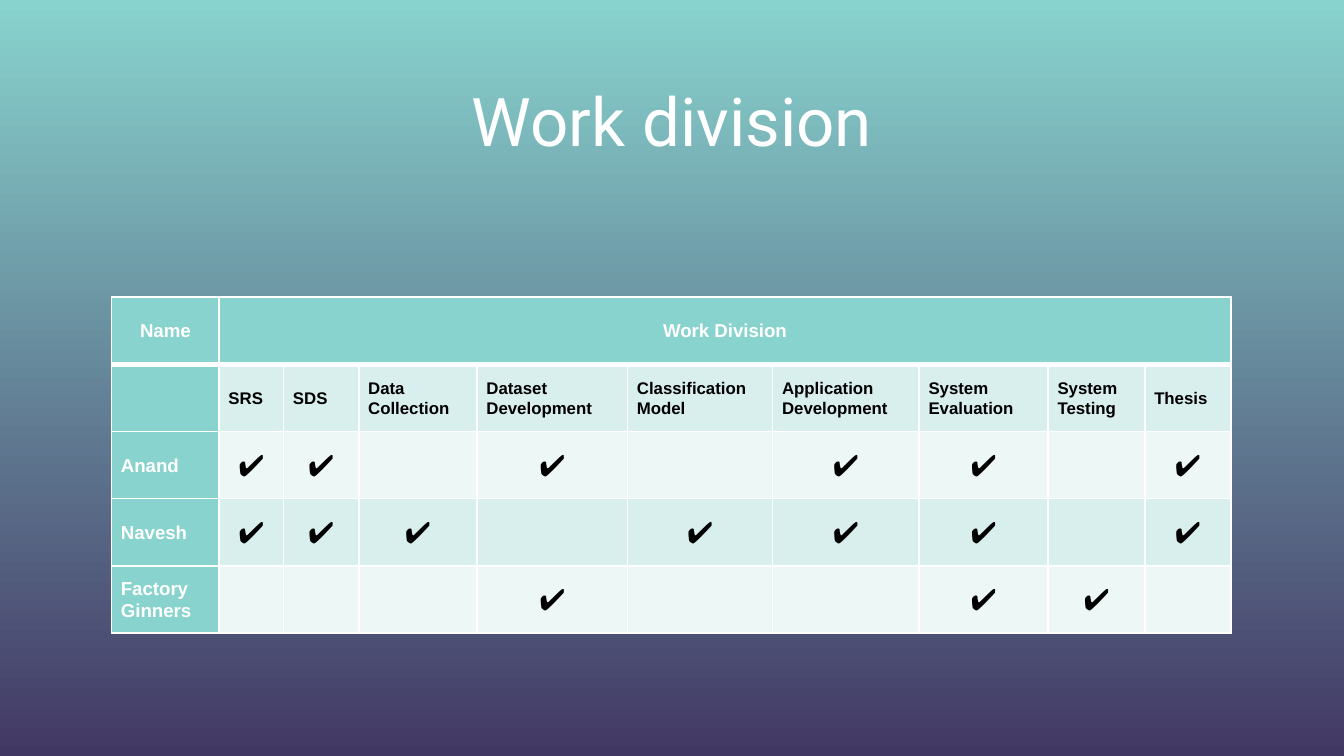
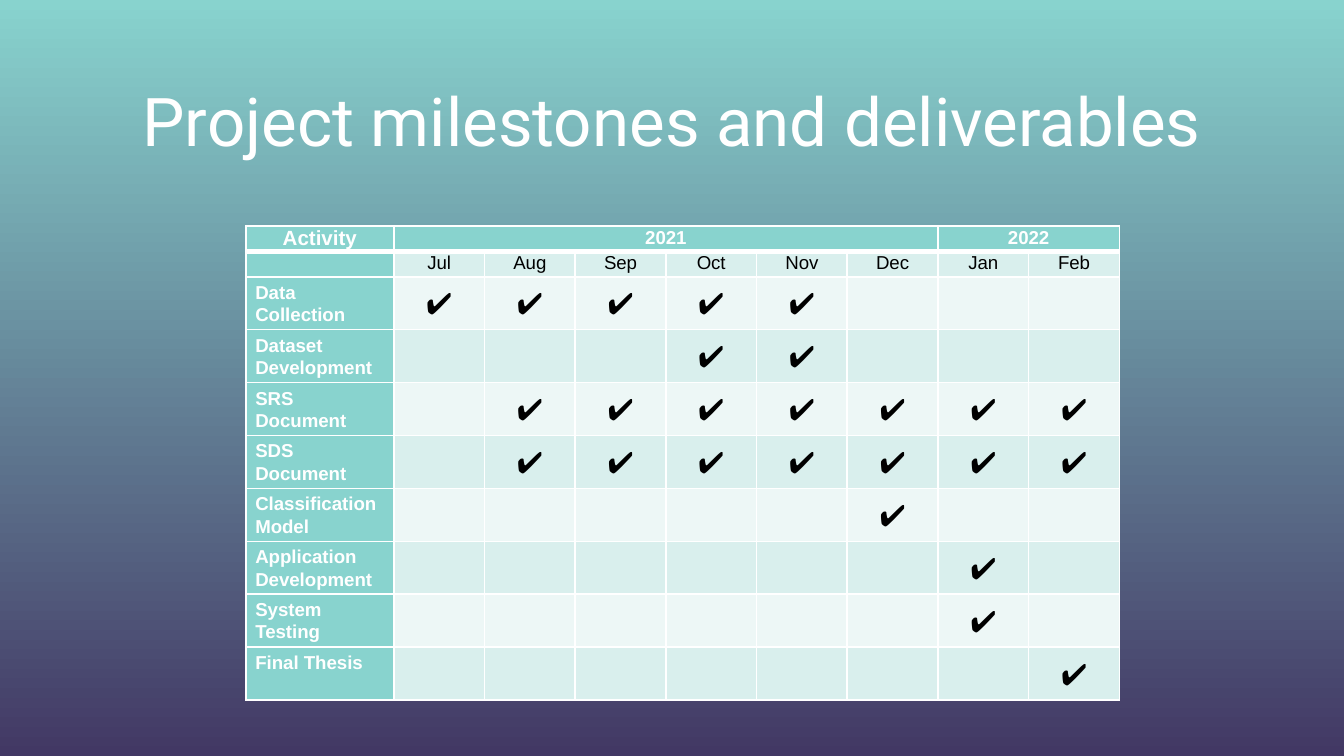
"""Build the work division and project milestones slides."""
import dataclasses

import lxml.etree
import pptx
import pptx.dml.color
import pptx.enum.dml
import pptx.enum.text
import pptx.oxml.ns
import pptx.presentation
import pptx.slide
import pptx.table
import pptx.util

RGBColor = pptx.dml.color.RGBColor
Inches = pptx.util.Inches
Pt = pptx.util.Pt
Align = pptx.enum.text.PP_ALIGN
Anchor = pptx.enum.text.MSO_ANCHOR

SLIDE_WIDTH = Inches(10)
SLIDE_HEIGHT = SLIDE_WIDTH * 9 // 16
TEAL = RGBColor(0x88, 0xD3, 0xCE)
PURPLE = RGBColor(0x42, 0x38, 0x64)
DARK_BAND = RGBColor(0xD9, 0xEF, 0xED)
LIGHT_BAND = RGBColor(0xED, 0xF7, 0xF6)
WHITE = RGBColor(0xFF, 0xFF, 0xFF)
BLACK = RGBColor(0x00, 0x00, 0x00)
TITLE_FONT = "Roboto"
TABLE_FONT = "Arial"
CHECK = "✔"
THIN = Pt(1)
THICK = Pt(3)


@dataclasses.dataclass(frozen=True)
class TextStyle:
    size: int
    color: RGBColor
    bold: bool = False
    align: Align = Align.CENTER
    anchor: Anchor = Anchor.MIDDLE
    top: float = 0


@dataclasses.dataclass(frozen=True)
class HeaderGroup:
    text: str
    span: int
    style: TextStyle


@dataclasses.dataclass(frozen=True)
class CheckRow:
    label: str
    checked: str
    style: TextStyle = TextStyle(10, WHITE, True, Align.LEFT)


@dataclasses.dataclass(frozen=True)
class CheckTable:
    title: str
    left: float
    top: float
    column_widths: list[float]
    row_heights: list[float]
    groups: list[HeaderGroup]
    columns: list[str]
    column_style: TextStyle
    rows: list[CheckRow]


CHECK_STYLE = TextStyle(16, BLACK)
GROUP_STYLE = TextStyle(10, WHITE, True)
TOP_GROUP_STYLE = dataclasses.replace(GROUP_STYLE, anchor=Anchor.TOP)

WORK_DIVISION = CheckTable(
    title="Work division",
    left=0.83,
    top=2.21,
    column_widths=[0.8, 0.48, 0.56, 0.88, 1.12, 1.08, 1.09, 0.96, 0.72, 0.64],
    row_heights=[0.5] * 5,
    groups=[
        HeaderGroup("Name", 1, GROUP_STYLE),
        HeaderGroup("Work Division", 9, GROUP_STYLE),
    ],
    columns=[
        "SRS", "SDS", "Data Collection", "Dataset Development",
        "Classification Model", "Application Development",
        "System Evaluation", "System Testing", "Thesis",
    ],
    column_style=TextStyle(9, BLACK, True, Align.LEFT),
    rows=[
        CheckRow("Anand", "xx-x-xx-x"),
        CheckRow("Navesh", "xxx-xxx-x"),
        CheckRow("Factory Ginners", "---x--xx-"),
    ],
)

MILESTONES = CheckTable(
    title="Project milestones and deliverables",
    left=1.83,
    top=1.68,
    column_widths=[1.1] + [5.4 / 8] * 8,
    row_heights=[0.19] * 2 + [3.15 / 8] * 8,
    groups=[
        HeaderGroup("Activity", 1, dataclasses.replace(TOP_GROUP_STYLE, size=11)),
        HeaderGroup("2021", 6, TOP_GROUP_STYLE),
        HeaderGroup("2022", 2, TOP_GROUP_STYLE),
    ],
    columns=["Jul", "Aug", "Sep", "Oct", "Nov", "Dec", "Jan", "Feb"],
    column_style=TextStyle(10, BLACK, anchor=Anchor.TOP),
    rows=[
        CheckRow("Data Collection", "xxxxx---"),
        CheckRow("Dataset Development", "---xx---"),
        CheckRow("SRS Document", "-xxxxxxx"),
        CheckRow("SDS Document", "-xxxxxxx"),
        CheckRow("Classification Model", "-----x--"),
        CheckRow("Application Development", "------x-"),
        CheckRow("System Testing", "------x-"),
        CheckRow(
            "Final Thesis",
            "-------x",
            TextStyle(10, WHITE, True, Align.LEFT, Anchor.TOP, 0.03),
        ),
    ],
)


def set_background(master: pptx.slide.SlideMaster) -> None:
    """Give every slide the vertical teal to purple gradient."""
    fill = master.background.fill
    fill.gradient()
    fill.gradient_angle = 270
    for stop, position, color in zip(fill.gradient_stops, (0, 1), (TEAL, PURPLE)):
        stop.position = position
        stop.color.rgb = color


def add_run(paragraph, text: str, font_name: str, style: TextStyle) -> None:
    """Add one formatted run to a paragraph."""
    run = paragraph.add_run()
    run.text = text
    run.font.name = font_name
    run.font.size = Pt(style.size)
    run.font.bold = style.bold
    run.font.color.rgb = style.color


def add_title(slide: pptx.slide.Slide, text: str) -> None:
    """Place and format the title placeholder."""
    title = slide.shapes.title
    title.left, title.top = Inches(0.5), Inches(0.49)
    title.width, title.height = Inches(9), Inches(0.73)
    frame = title.text_frame
    frame.auto_size = pptx.enum.text.MSO_AUTO_SIZE.NONE
    frame.word_wrap = True
    frame.vertical_anchor = Anchor.TOP
    frame.margin_left = frame.margin_right = Inches(0.1)
    frame.margin_top = frame.margin_bottom = Inches(0.1)
    paragraph = frame.paragraphs[0]
    paragraph.alignment = Align.CENTER
    add_run(paragraph, text, TITLE_FONT, TextStyle(36, WHITE))


def set_borders(cell: pptx.table._Cell, top: int, bottom: int) -> None:
    """Draw white borders around a cell."""
    qn = pptx.oxml.ns.qn
    properties = cell._tc.get_or_add_tcPr()
    widths = {"a:lnL": THIN, "a:lnR": THIN, "a:lnT": top, "a:lnB": bottom}
    for index, (tag, width) in enumerate(widths.items()):
        line = lxml.etree.Element(qn(tag), w=str(int(width)))
        fill = lxml.etree.SubElement(line, qn("a:solidFill"))
        lxml.etree.SubElement(fill, qn("a:srgbClr"), val=str(WHITE))
        properties.insert(index, line)


def fill_cell(cell: pptx.table._Cell, text: str, style: TextStyle) -> None:
    """Write text into a cell, or keep an empty cell from growing its row."""
    cell.margin_left = cell.margin_right = Inches(0.07)
    cell.margin_top, cell.margin_bottom = Inches(style.top), 0
    cell.vertical_anchor = style.anchor
    paragraph = cell.text_frame.paragraphs[0]
    paragraph.alignment = style.align
    paragraph.line_spacing = 1.07
    if text:
        add_run(paragraph, text, TABLE_FONT, style)
    else:
        lxml.etree.SubElement(
            paragraph._p, pptx.oxml.ns.qn("a:endParaRPr"), sz=str(style.size * 100)
        )


def color_cells(table: pptx.table.Table) -> None:
    """Fill the header row, label column and alternating bands."""
    for row_index, row in enumerate(table.rows):
        for column_index, cell in enumerate(row.cells):
            is_header = row_index == 0 or column_index == 0
            band = DARK_BAND if row_index % 2 else LIGHT_BAND
            cell.fill.solid()
            cell.fill.fore_color.rgb = TEAL if is_header else band
            set_borders(
                cell,
                top=THICK if row_index == 1 else THIN,
                bottom=THICK if row_index == 0 else THIN,
            )


def add_check_table(slide: pptx.slide.Slide, data: CheckTable) -> None:
    """Add a table of check marks with grouped column headings."""
    frame = slide.shapes.add_table(
        len(data.row_heights), len(data.column_widths),
        Inches(data.left), Inches(data.top),
        Inches(sum(data.column_widths)), Inches(sum(data.row_heights)),
    )
    table = frame.table
    table.first_row = table.horz_banding = False
    for column, width in zip(table.columns, data.column_widths):
        column.width = Inches(width)
    for row, height in zip(table.rows, data.row_heights):
        row.height = Inches(height)
    color_cells(table)

    start = 0
    for group in data.groups:
        cell = table.cell(0, start)
        if group.span > 1:
            cell.merge(table.cell(0, start + group.span - 1))
        fill_cell(cell, group.text, group.style)
        start += group.span

    for column_index, text in enumerate(["", *data.columns]):
        fill_cell(table.cell(1, column_index), text, data.column_style)
    for row_index, row in enumerate(data.rows, start=2):
        fill_cell(table.cell(row_index, 0), row.label, row.style)
        for column_index, mark in enumerate(row.checked, start=1):
            text = CHECK if mark == "x" else ""
            fill_cell(table.cell(row_index, column_index), text, CHECK_STYLE)


def add_slide(presentation: pptx.presentation.Presentation, data: CheckTable) -> None:
    """Add a title-only slide holding one check table."""
    slide = presentation.slides.add_slide(presentation.slide_layouts[5])
    add_title(slide, data.title)
    add_check_table(slide, data)


def main() -> None:
    """Build and save the presentation."""
    presentation = pptx.Presentation()
    presentation.slide_width = SLIDE_WIDTH
    presentation.slide_height = SLIDE_HEIGHT
    set_background(presentation.slide_master)
    for data in (WORK_DIVISION, MILESTONES):
        add_slide(presentation, data)
    presentation.save("out.pptx")


if __name__ == "__main__":
    main()
